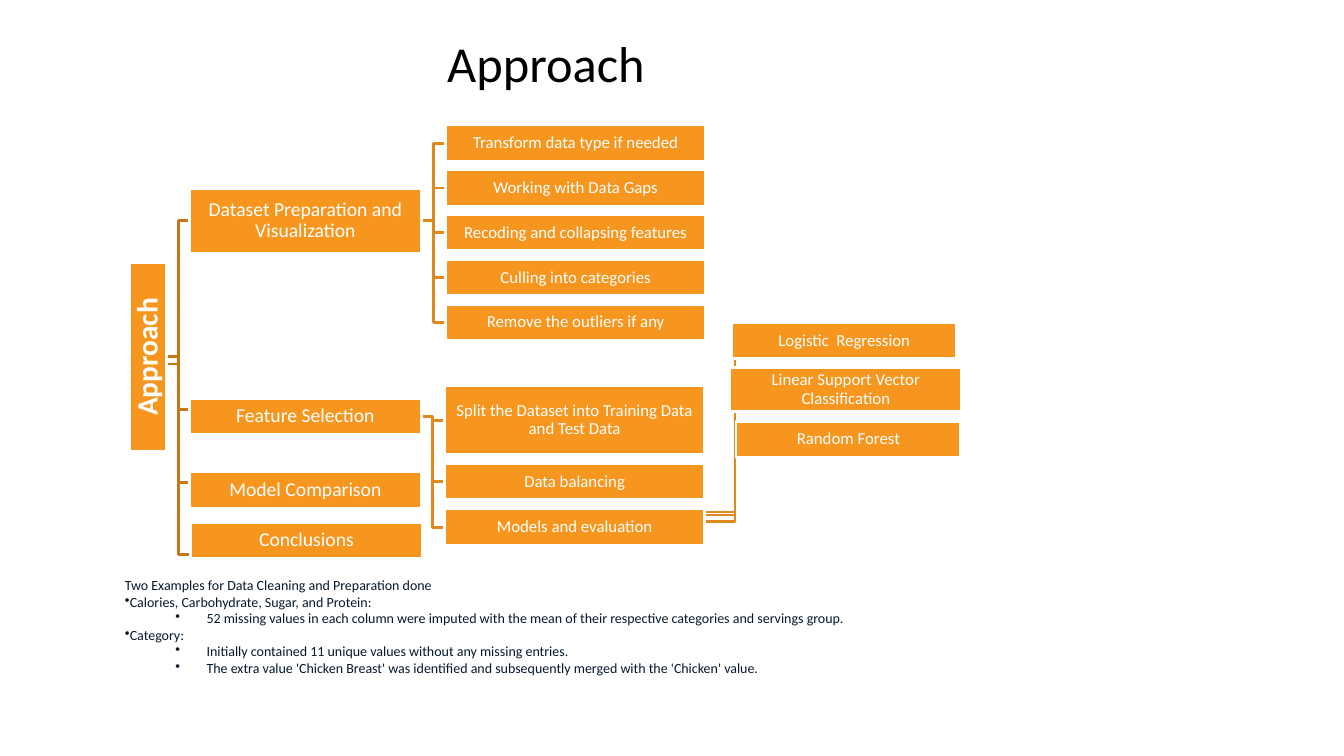
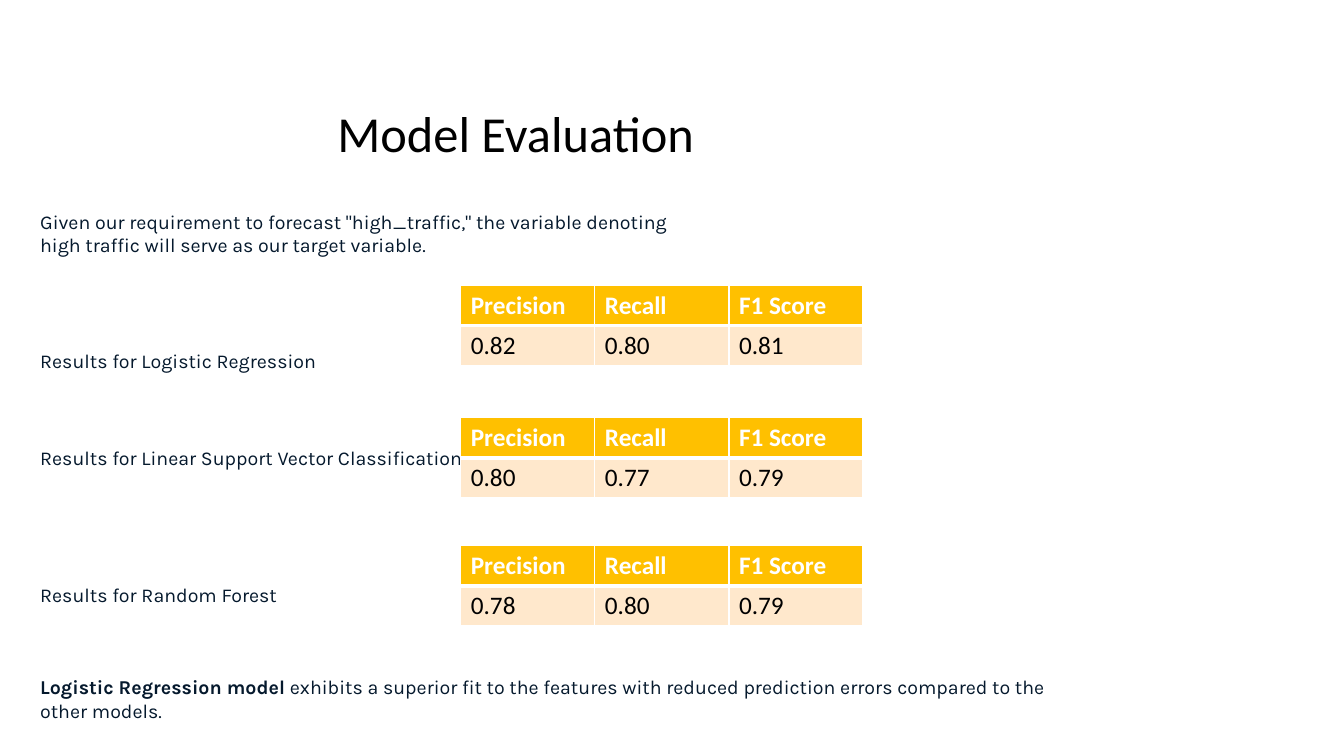
from lxml import etree
from pptx import Presentation
from pptx.dml.color import RGBColor
from pptx.enum.shapes import MSO_SHAPE
from pptx.enum.text import MSO_ANCHOR, MSO_AUTO_SIZE, PP_ALIGN
from pptx.oxml.ns import qn
from pptx.util import Inches, Pt

HUES = {
    "box": "F7961F", "white": "FFFFFF", "black": "000000", "ink": "05192D",
    "trunk": "C67819", "branch": "E0881C", "head": "FFC000", "cell": "FFE8CC",
}
HUE = {name: RGBColor.from_string(code) for name, code in HUES.items()}

deck = Presentation()
deck.slide_width, deck.slide_height = Inches(13.33), Inches(7.5)


def style(para, size, hue, face="Calibri", bold=False):
    font = para.font
    font.size, font.name, font.bold = Pt(size), face, bold
    font.color.rgb = HUE[hue]


def start(text, top, width, height):
    """Add a slide with a centred title."""
    slide = deck.slides.add_slide(deck.slide_layouts[5])
    title = slide.shapes.title
    title.left, title.top = Inches(1.67), Inches(top)
    title.width, title.height = Inches(width), Inches(height)
    frame = title.text_frame
    frame.text = text
    frame.auto_size = MSO_AUTO_SIZE.NONE
    frame.vertical_anchor = MSO_ANCHOR.BOTTOM
    para = frame.paragraphs[0]
    para.alignment, para.line_spacing = PP_ALIGN.CENTER, 0.9
    style(para, 36, "black")
    return slide


# Slide 1: approach tree
slide = start("Approach", 0.48, 7.49, 0.5)

# Notes below the tree
notes = [
    (None, "Two Examples for Data Cleaning and Preparation done"),
    (0, "Calories, Carbohydrate, Sugar, and Protein:"),
    (1, "52 missing values in each column were imputed with the mean of "
        "their respective categories and servings group."),
    (0, "Category:"),
    (1, "Initially contained 11 unique values without any missing entries."),
    (1, "The extra value 'Chicken Breast' was identified and subsequently "
        "merged with the 'Chicken' value."),
]
frame = slide.shapes.add_textbox(
    Inches(1.14), Inches(5.69), Inches(10.45), Inches(1.25)).text_frame
frame.word_wrap = True
for i, (level, text) in enumerate(notes):
    para = frame.paragraphs[0] if i == 0 else frame.add_paragraph()
    para.text = text
    para.line_spacing, para.space_before = 0.9, Pt(1 if i else 0)
    style(para, 10, "ink")
    if level is not None:
        para.level = level
        props = para._p.get_or_add_pPr()
        props.set("marL", str(Inches(0.81 * level)))
        props.set("indent", str(Inches(-0.31 * level)))
        mark = etree.SubElement(props, qn("a:buChar"))
        mark.set("char", "•")
        props.insert_element_before(mark, "a:tabLst", "a:defRPr", "a:extLst")

# Elbow links: hue, start, bend and end x, then pairs of start and end y
links = [
    ("trunk", 1.65, 1.77, 1.88,
     [(3.54, 5.5), (3.54, 4.79), (3.54, 4.06), (3.61, 2.19)]),
    ("branch", 6.99, 7.29, 7.58, [(5.17, 4.36), (5.11, 3.86), (5.08, 3.38)]),
    ("branch", 4.18, 4.29, 4.41, [(4.13, 5.23), (4.13, 4.78), (4.13, 4.17)]),
    ("branch", 4.18, 4.3, 4.43,
     [(2.19, 1.42 + 0.445 * i) for i in range(5)]),
]
for hue, x1, bend, x2, pairs in links:
    for y1, y2 in pairs:
        path = slide.shapes.build_freeform(Inches(x1), Inches(y1))
        path.add_line_segments(
            [(Inches(x), Inches(y))
             for x, y in ((bend, y1), (bend, y2), (x2, y2))], close=False)
        link = path.convert_to_shape()
        link.shadow.inherit = False
        link.fill.background()
        link.line.color.rgb, link.line.width = HUE[hue], Pt(2)

# Boxes: left, top, width, height, text size, text
steps = ["Transform data type if needed", "Working with Data Gaps",
         "Recoding and collapsing features", "Culling into categories",
         "Remove the outliers if any"]
boxes = [
    (0.53, 3.36, 1.88, 0.36, 21, "Approach"),
    (1.88, 1.87, 2.3, 0.64, 14, "Dataset Preparation and Visualization"),
    (1.88, 3.95, 2.3, 0.36, 14, "Feature Selection"),
    (1.88, 4.68, 2.3, 0.36, 14, "Model Comparison"),
    (1.89, 5.18, 2.3, 0.36, 14, "Conclusions"),
    (4.41, 3.83, 2.58, 0.68, 12,
     "Split the Dataset into Training Data and Test Data"),
    (4.41, 4.6, 2.58, 0.36, 12, "Data balancing"),
    (4.41, 5.05, 2.58, 0.36, 12, "Models and evaluation"),
    (7.26, 3.2, 2.23, 0.36, 12, "Logistic  Regression"),
    (7.24, 3.65, 2.3, 0.43, 12, "Linear Support Vector Classification"),
    (7.3, 4.18, 2.23, 0.36, 12, "Random Forest"),
] + [(4.42, 1.24 + 0.445 * i, 2.58, 0.36, 12, text)
     for i, text in enumerate(steps)]
for x, y, w, h, size, text in boxes:
    root = text == "Approach"
    box = slide.shapes.add_shape(
        MSO_SHAPE.RECTANGLE, Inches(x), Inches(y), Inches(w), Inches(h))
    box.rotation = 270 if root else 0
    box.shadow.inherit = False
    box.fill.solid()
    box.fill.fore_color.rgb = HUE["box"]
    box.line.color.rgb, box.line.width = HUE["white"], Pt(2)
    frame = box.text_frame
    frame.text, frame.word_wrap = text, True
    frame.vertical_anchor = MSO_ANCHOR.MIDDLE
    frame.margin_left = frame.margin_right = Inches(0.01)
    frame.margin_top = frame.margin_bottom = Inches(0.01)
    para = frame.paragraphs[0]
    para.alignment, para.line_spacing = PP_ALIGN.CENTER, 0.9
    style(para, size, "white", bold=root)

# Slide 2: model scores
slide = start("Model Evaluation", 1.23, 6.89, 0.44)

# Text: top, width, height, bold lead, rest
lines = [
    (2.03, 6.67, 0.57, "",
     'Given our requirement to forecast "high_traffic," the variable '
     "denoting high traffic will serve as our target variable."),
    (3.41, 4.81, 0.34, "", "Results for Logistic Regression"),
    (4.37, 4.81, 0.34, "", "Results for Linear Support Vector Classification"),
    (5.73, 4.81, 0.34, "", "Results for Random Forest"),
    (6.65, 10.6, 0.57, "Logistic Regression model",
     " exhibits a superior fit to the features with reduced prediction "
     "errors compared to the other models."),
]
for top, width, height, lead, rest in lines:
    frame = slide.shapes.add_textbox(
        Inches(0.3), Inches(top), Inches(width), Inches(height)).text_frame
    frame.word_wrap = True
    para = frame.paragraphs[0]
    style(para, 14, "ink", "Karla")
    if lead:
        run = para.add_run()
        run.text, run.font.bold = lead, True
    para.add_run().text = rest

# Score tables
heads = ["Precision", "Recall", "F1 Score"]
scores = [
    (2.83, ["0.82", "0.80", "0.81"]),
    (4.14, ["0.80", "0.77", "0.79"]),
    (5.41, ["0.78", "0.80", "0.79"]),
]
for top, values in scores:
    table = slide.shapes.add_table(
        2, 3, Inches(4.57), Inches(top), Inches(3.99), Inches(0.8)).table
    table.horz_banding = False
    for r, row in enumerate([heads, values]):
        for c, text in enumerate(row):
            cell = table.cell(r, c)
            cell.text = text
            style(cell.text_frame.paragraphs[0], 18,
                  "black" if r else "white", bold=r == 0)
            cell.fill.solid()
            cell.fill.fore_color.rgb = HUE["cell" if r else "head"]
            # White borders, heavy between header and values
            props = cell._tc.get_or_add_tcPr()
            for i, side in enumerate(["lnL", "lnR", "lnT", "lnB"]):
                heavy = (r, side) in [(0, "lnB"), (1, "lnT")]
                edge = etree.Element(
                    qn("a:" + side), w=str(Pt(3 if heavy else 1)))
                paint = etree.SubElement(edge, qn("a:solidFill"))
                etree.SubElement(
                    paint, qn("a:srgbClr"), val=HUES["white"])
                props.insert(i, edge)

deck.save("out.pptx")
